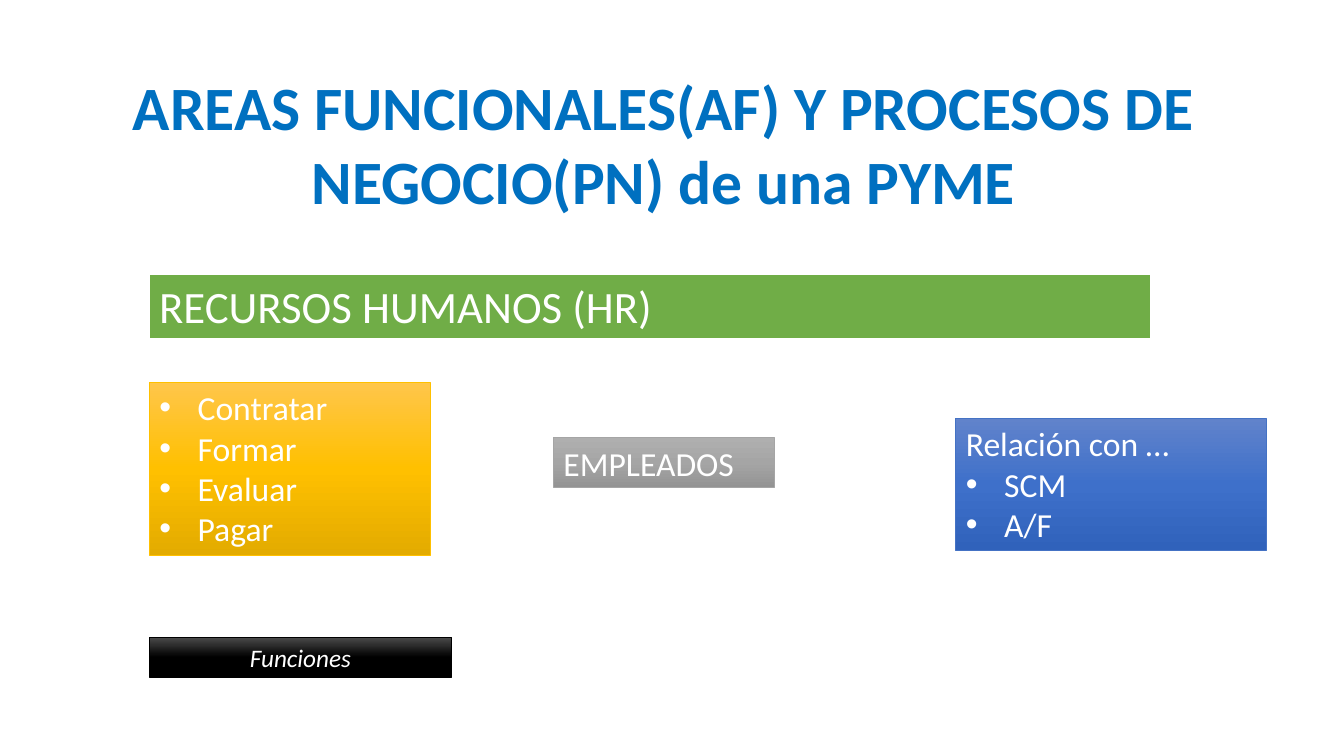
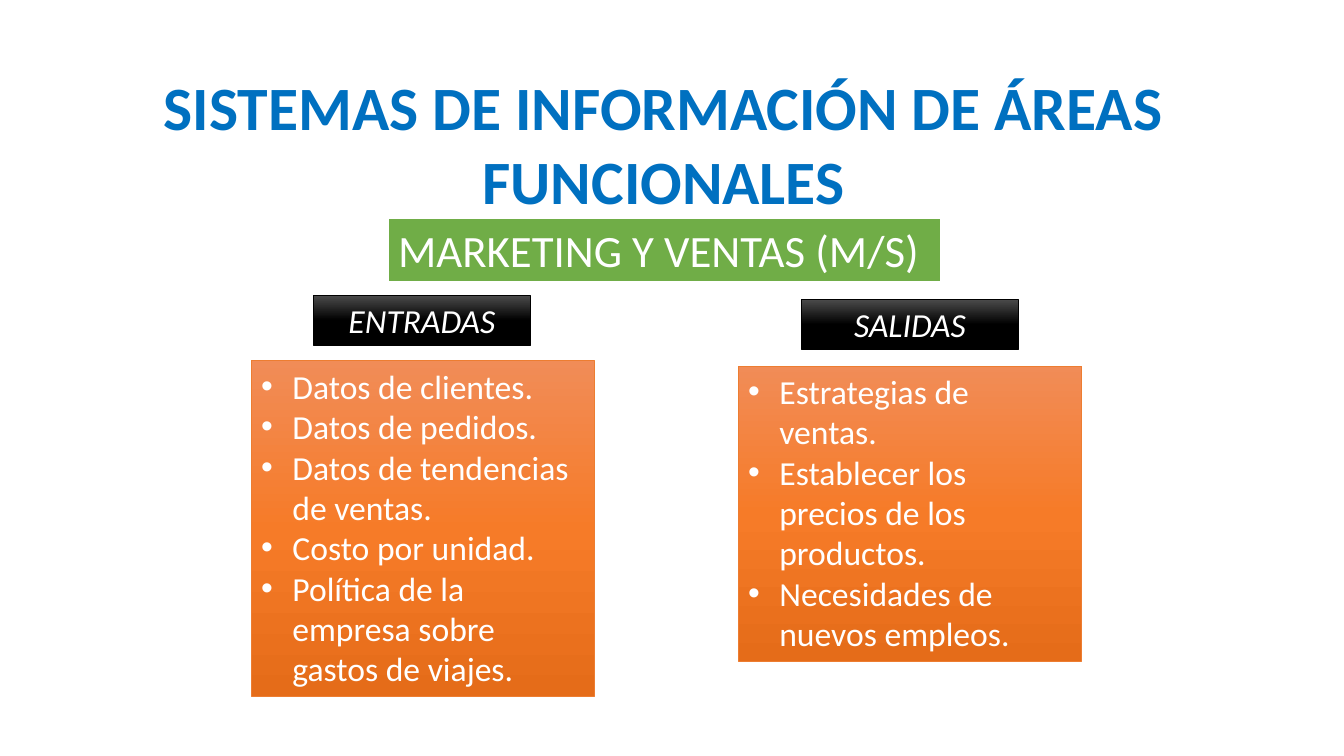
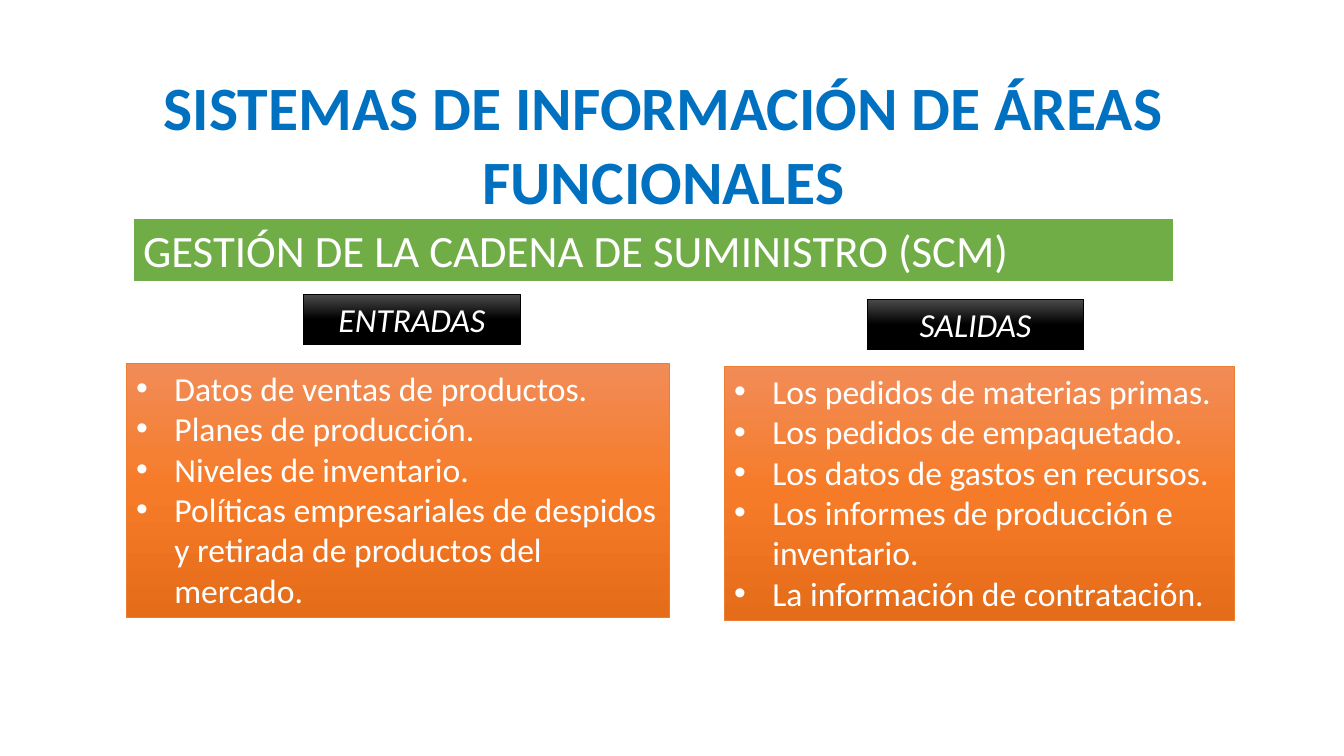
from copy import deepcopy

from lxml.etree import SubElement
from pptx import Presentation
from pptx.dml.color import RGBColor
from pptx.enum.shapes import MSO_SHAPE
from pptx.enum.text import MSO_ANCHOR, MSO_AUTO_SIZE, PP_ALIGN
from pptx.oxml.ns import qn
from pptx.util import Pt

PX = 9144
FONT = "Calibri"
WHITE = "FFFFFF"
TITLE_BLUE = "0070C0"
TITLE_BOX = (65, 63, 1187, 158)
BAND_HEIGHT = 64

BAND = {"fill": ["70AD47"], "line": WHITE, "width": 1.5}
BLACK = {"fill": ["4B4B4B", "000000", "000000"], "line": "000000", "width": 0.5}
GOLD = {"fill": ["FFC64B", "FFC000", "E3AB00"], "line": "FFC000", "width": 0.5}
BLUE = {"fill": ["6183CB", "3E70CA", "3062BB"], "line": "4472C4", "width": 0.5}
GRAY = {"fill": ["AFAFAF", "A5A5A5", "939393"], "line": "A5A5A5", "width": 0.5}
ORANGE = {"fill": ["F18C57", "F67B28", "E56C19"], "line": "ED7D31", "width": 0.5}

SYSTEMS_TITLE = "SISTEMAS DE INFORMACIÓN DE ÁREAS FUNCIONALES"

SLIDES = [
    {
        "title": "AREAS FUNCIONALES(AF) Y PROCESOS DE NEGOCIO(PN) de una PYME",
        "band": ("RECURSOS HUMANOS (HR)", 148, 272, 994),
        "indent": 38,
        "lists": [
            {"box": (148, 379, 279, 172), "look": GOLD,
             "items": ["Contratar", "Formar", "Evaluar", "Pagar"]},
            {"box": (948, 415, 308, 131), "look": BLUE,
             "lead": "Relación con …", "items": ["SCM", "A/F"]},
        ],
        "labels": [
            {"text": "Funciones", "box": (148, 632, 300, 40), "look": BLACK, "size": 18},
            {"text": "EMPLEADOS", "box": (549, 434, 219, 50), "look": GRAY, "size": 24},
        ],
    },
    {
        "title": SYSTEMS_TITLE,
        "band": ("MARKETING Y VENTAS (M/S)", 385, 216, 548),
        "indent": 31,
        "lists": [
            {"box": (249, 358, 341, 333), "look": ORANGE,
             "items": ["Datos de clientes.", "Datos de pedidos.",
                       "Datos de tendencias de ventas.", "Costo por unidad.",
                       "Política de la empresa sobre gastos de viajes."]},
            {"box": (732, 363, 341, 293), "look": ORANGE,
             "items": ["Estrategias de ventas.",
                       "Establecer los precios de los productos.",
                       "Necesidades de nuevos empleos."]},
        ],
        "labels": [
            {"text": "ENTRADAS", "box": (311, 293, 215, 50), "look": BLACK, "size": 24},
            {"text": "SALIDAS", "box": (795, 297, 215, 50), "look": BLACK, "size": 24},
        ],
    },
    {
        "title": SYSTEMS_TITLE,
        "band": ("GESTIÓN DE LA CADENA DE SUMINISTRO (SCM)", 132, 216, 1032),
        "indent": 38,
        "lists": [
            {"box": (125, 360, 539, 252), "look": ORANGE,
             "items": ["Datos de ventas de productos.", "Planes de producción.",
                       "Niveles de inventario.",
                       "Políticas empresariales de despidos y retirada de productos "
                       "del mercado."]},
            {"box": (718, 363, 506, 252), "look": ORANGE,
             "items": ["Los pedidos de materias primas.",
                       "Los pedidos de empaquetado.",
                       "Los datos de gastos en recursos.",
                       "Los informes de producción e inventario.",
                       "La información de contratación."]},
        ],
        "labels": [
            {"text": "ENTRADAS", "box": (301, 292, 215, 50), "look": BLACK, "size": 24},
            {"text": "SALIDAS", "box": (860, 297, 215, 50), "look": BLACK, "size": 24},
        ],
    },
]


def rgb(color):
    return RGBColor.from_string(color)


def place(shape, box):
    shape.left, shape.top, shape.width, shape.height = [n * PX for n in box]


def paint(shape, look):
    colors = look["fill"]
    if len(colors) == 1:
        shape.fill.solid()
        shape.fill.fore_color.rgb = rgb(colors[0])
    else:
        shape.fill.gradient()
        shape.fill.gradient_angle = 270
        stop_list = shape._element.spPr.find(qn("a:gradFill")).find(qn("a:gsLst"))
        stop_list.append(deepcopy(stop_list[0]))
        for index, (stop, color) in enumerate(zip(shape.fill.gradient_stops, colors)):
            stop.color.rgb = rgb(color)
            stop.position = index / (len(colors) - 1)
    shape.line.color.rgb = rgb(look["line"])
    shape.line.width = Pt(look["width"])
    shape.shadow.inherit = False


def set_bullet(paragraph, indent):
    properties = paragraph._p.get_or_add_pPr()
    properties.set("marL", str(indent * PX))
    properties.set("indent", str(-indent * PX))
    if indent:
        SubElement(properties, qn("a:buFont")).set("typeface", "Arial")
        SubElement(properties, qn("a:buChar")).set("char", "•")
    else:
        SubElement(properties, qn("a:buNone"))


def write(shape, lines, size, color=WHITE, align=PP_ALIGN.LEFT, bold=False, italic=False):
    frame = shape.text_frame
    frame.word_wrap = True
    frame.auto_size = MSO_AUTO_SIZE.NONE
    frame.vertical_anchor = MSO_ANCHOR.TOP
    for index, (text, indent) in enumerate(lines):
        paragraph = frame.add_paragraph() if index else frame.paragraphs[0]
        paragraph.text = text
        set_bullet(paragraph, indent)
        paragraph.space_before = Pt(0)
        paragraph.alignment = align
        font = paragraph.font
        font.name, font.size, font.bold, font.italic = FONT, Pt(size), bold, italic
        font.color.rgb = rgb(color)


def add_box(slide, box, look):
    shape = slide.shapes.add_shape(MSO_SHAPE.RECTANGLE, *[n * PX for n in box])
    paint(shape, look)
    return shape


def build_slide(deck, content):
    slide = deck.slides.add_slide(deck.slide_layouts.get_by_name("Two Content"))
    title, *bodies = slide.placeholders
    place(title, TITLE_BOX)
    write(title, [(content["title"], 0)], 44, TITLE_BLUE, PP_ALIGN.CENTER, bold=True)

    text, left, top, width = content["band"]
    band = add_box(slide, (left, top, width, BAND_HEIGHT), BAND)
    write(band, [(text, 0)], 32)

    for body, part in zip(bodies, content["lists"]):
        place(body, part["box"])
        paint(body, part["look"])
        lead = [(part["lead"], 0)] if "lead" in part else []
        write(body, lead + [(item, content["indent"]) for item in part["items"]], 24)

    for part in content["labels"]:
        label = add_box(slide, part["box"], part["look"])
        heading = part["look"] is BLACK
        align = PP_ALIGN.CENTER if heading else PP_ALIGN.LEFT
        write(label, [(part["text"], 0)], part["size"], align=align, italic=heading)


def main():
    deck = Presentation()
    deck.slide_width, deck.slide_height = 1333 * PX, 750 * PX
    for content in SLIDES:
        build_slide(deck, content)
    deck.save("out.pptx")


if __name__ == "__main__":
    main()
